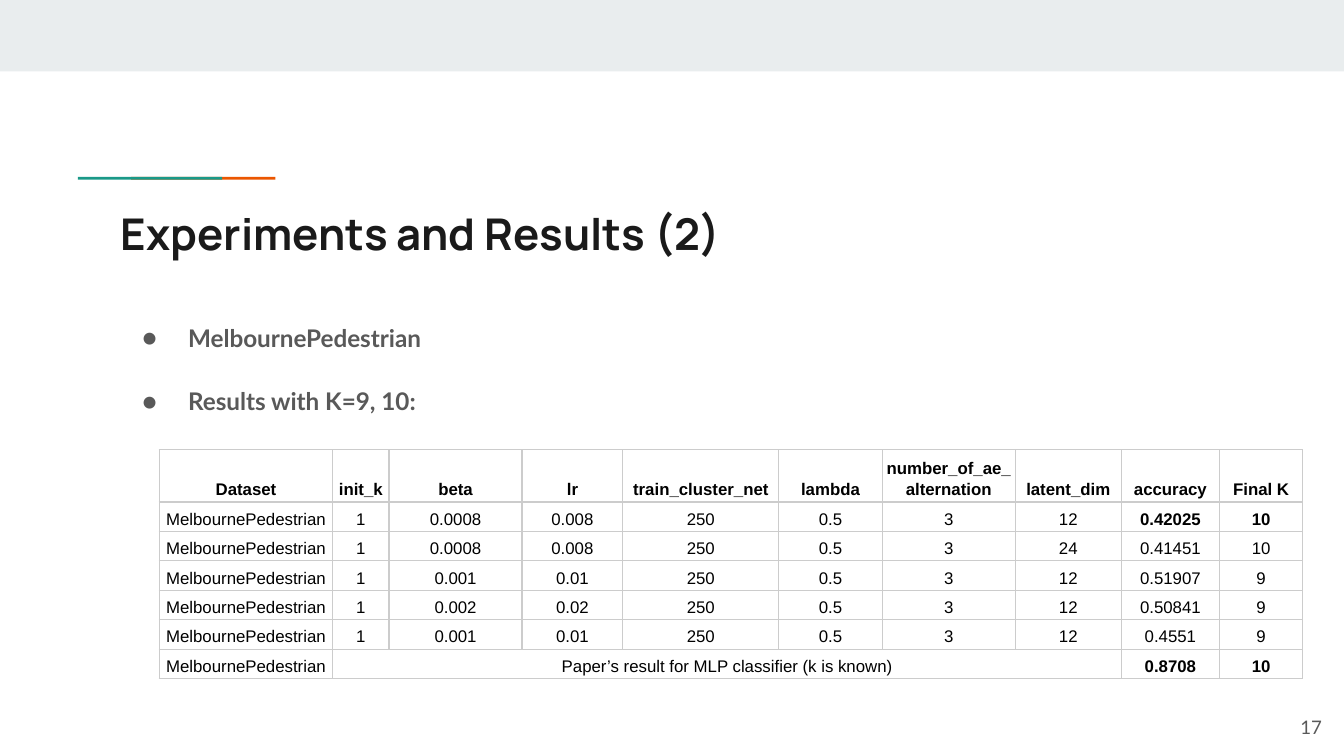
from lxml import etree
from pptx import Presentation
from pptx import util as u
from pptx.dml.color import RGBColor
from pptx.enum import shapes, text
from pptx.oxml import ns

COLORS = {"band": "E9EDEE", "teal": "1A9988", "orange": "EB5600", "title": "1A1A1A",
          "body": "595959", "cell": "000000", "grid": "CCCCCC"}
WIDTH = u.Inches(10)
HEIGHT = WIDTH * 9 // 16
COLUMNS = [1.29, 0.42, 0.99, 0.75, 1.16, 0.77, 0.99, 0.79, 0.73, 0.62]
ROWS = [0.39] + [0.22] * 6
HEADER = ["Dataset", "init_k", "beta", "lr", "train_cluster_net", "lambda",
          "number_of_ae_alternation", "latent_dim", "accuracy", "Final K"]
DATASET = "MelbournePedestrian"
RUNS = [("0.0008", "0.008", "12", "0.42025", "10"),
        ("0.0008", "0.008", "24", "0.41451", "10"),
        ("0.001", "0.01", "12", "0.51907", "9"),
        ("0.002", "0.02", "12", "0.50841", "9"),
        ("0.001", "0.01", "12", "0.4551", "9")]
BASELINE = "Paper’s result for MLP classifier (k is known)"


def percent_box(left, top, width, height):
    return (int(WIDTH * left / 100), int(HEIGHT * top / 100),
            int(WIDTH * width / 100), int(HEIGHT * height / 100))


def write(p, words, font="Lato", size=13, color="body", bold=False,
          align=text.PP_ALIGN.LEFT, spacing=1.0, after=0):
    p.alignment, p.line_spacing = align, spacing
    p.space_before, p.space_after = u.Pt(0), u.Pt(after)
    r = p.add_run()
    r.text = words
    r.font.name, r.font.size, r.font.bold = font, u.Pt(size), bold
    r.font.color.rgb = RGBColor.from_string(COLORS[color])


def frame(sp, box, anchor=text.MSO_ANCHOR.TOP):
    sp.left, sp.top, sp.width, sp.height = box
    tf = sp.text_frame
    tf.word_wrap, tf.auto_size = True, text.MSO_AUTO_SIZE.NONE
    tf.vertical_anchor = anchor
    tf.margin_left = tf.margin_right = tf.margin_top = tf.margin_bottom = u.Inches(0.1)
    return tf


def add_bar(s, box, color):
    sp = s.shapes.add_shape(shapes.MSO_SHAPE.RECTANGLE, *box)
    sp.shadow.inherit = False
    sp.fill.solid()
    sp.fill.fore_color.rgb = RGBColor.from_string(COLORS[color])
    sp.line.fill.background()


def add_accent(s, box):
    left, top, width, height = box
    length = int(width * 0.73)
    add_bar(s, (left + width - length, top, length, height), "orange")
    add_bar(s, (left, top, length, height), "teal")


def add_bullet(p):
    pPr = p._p.get_or_add_pPr()
    pPr.set("marL", str(u.Inches(0.5)))
    pPr.set("indent", str(u.Inches(-0.34)))
    color = etree.SubElement(pPr, ns.qn("a:buClr"))
    etree.SubElement(color, ns.qn("a:srgbClr"), val=COLORS["body"])
    etree.SubElement(pPr, ns.qn("a:buFont"), typeface="Lato")
    etree.SubElement(pPr, ns.qn("a:buChar"), char="●")


def add_list(sp, box, items):
    tf = frame(sp, box)
    for i, item in enumerate(items):
        p = tf.add_paragraph() if i else tf.paragraphs[0]
        write(p, item, bold=True, spacing=1.15, after=16)
        add_bullet(p)


def add_borders(cell):
    tcPr = cell._tc.get_or_add_tcPr()
    for i, side in enumerate(("lnL", "lnR", "lnT", "lnB")):
        ln = etree.Element(ns.qn("a:" + side), w=str(u.Pt(0.75)))
        fill = etree.SubElement(ln, ns.qn("a:solidFill"))
        etree.SubElement(fill, ns.qn("a:srgbClr"), val=COLORS["grid"])
        tcPr.insert(i, ln)


def format_cell(cell, words, bold):
    cell.fill.background()
    cell.vertical_anchor = text.MSO_ANCHOR.BOTTOM
    cell.margin_left = cell.margin_right = u.Inches(0.03)
    cell.margin_top = cell.margin_bottom = u.Inches(0.02)
    add_borders(cell)
    if words:
        write(cell.text_frame.paragraphs[0], words, font="Arial", size=9, color="cell",
              bold=bold, align=text.PP_ALIGN.CENTER, spacing=1.15)


def add_results(s, box):
    rows = [HEADER]
    rows += [[DATASET, "1", beta, lr, "250", "0.5", "3", latent, accuracy, k]
             for beta, lr, latent, accuracy, k in RUNS]
    rows.append([DATASET, BASELINE] + [""] * 6 + ["0.8708", "10"])
    table = s.shapes.add_table(len(rows), len(HEADER), *box).table
    table.first_row = table.horz_banding = False
    for column, share in zip(table.columns, COLUMNS):
        column.width = int(box[2] * share / sum(COLUMNS))
    for row, share in zip(table.rows, ROWS):
        row.height = int(box[3] * share / sum(ROWS))
    last = len(rows) - 1
    for i, row in enumerate(rows):
        for j, words in enumerate(row):
            bold = i == 0 or (i in (1, last) and j >= 8)
            format_cell(table.cell(i, j), words, bold)
    table.cell(last, 1).merge(table.cell(last, 7))


def add_page_number(s, box, number):
    tf = frame(s.shapes.add_textbox(*box), box, text.MSO_ANCHOR.MIDDLE)
    write(tf.paragraphs[0], number, size=10, align=text.PP_ALIGN.RIGHT)


def main():
    prs = Presentation()
    prs.slide_width, prs.slide_height = WIDTH, HEIGHT
    s = prs.slides.add_slide(prs.slide_layouts[1])
    add_bar(s, percent_box(0, 0, 100, 9.45), "band")
    add_accent(s, percent_box(5.8, 23.4, 14.7, 0.36))
    tf = frame(s.shapes.title, percent_box(8, 25.6, 84.1, 10.5))
    write(tf.paragraphs[0], "Experiments and Results (2)", font="Manrope",
          size=23.4, color="title", bold=True)
    add_list(s.placeholders[1], percent_box(8, 40.36, 84.1, 59.6),
             [DATASET, "Results with K=9, 10:"])
    add_page_number(s, percent_box(93.35, 92.3, 6, 7.65), "17")
    add_results(s, percent_box(11.85, 59.5, 85.1, 30.3))
    prs.save("out.pptx")


if __name__ == "__main__":
    main()
